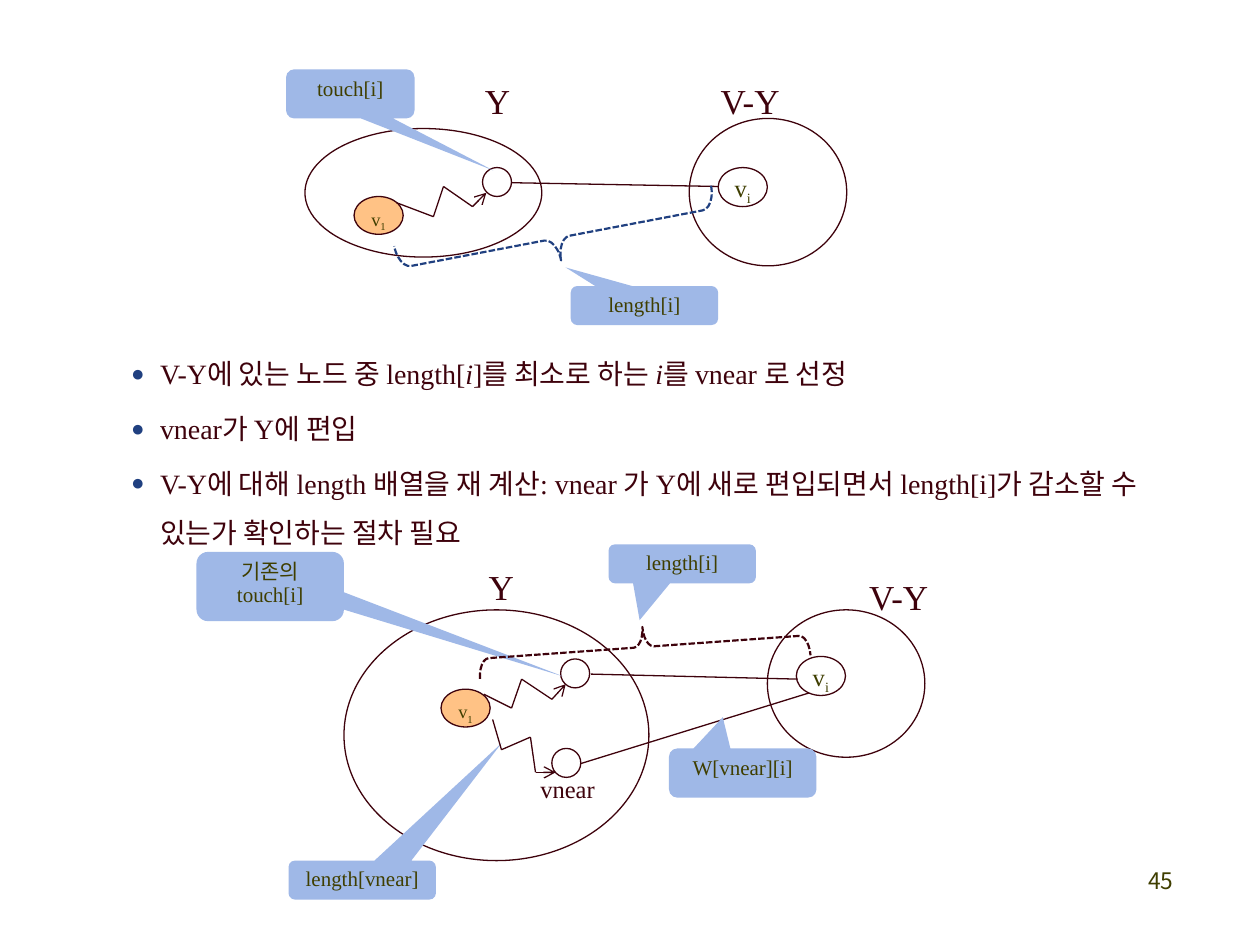
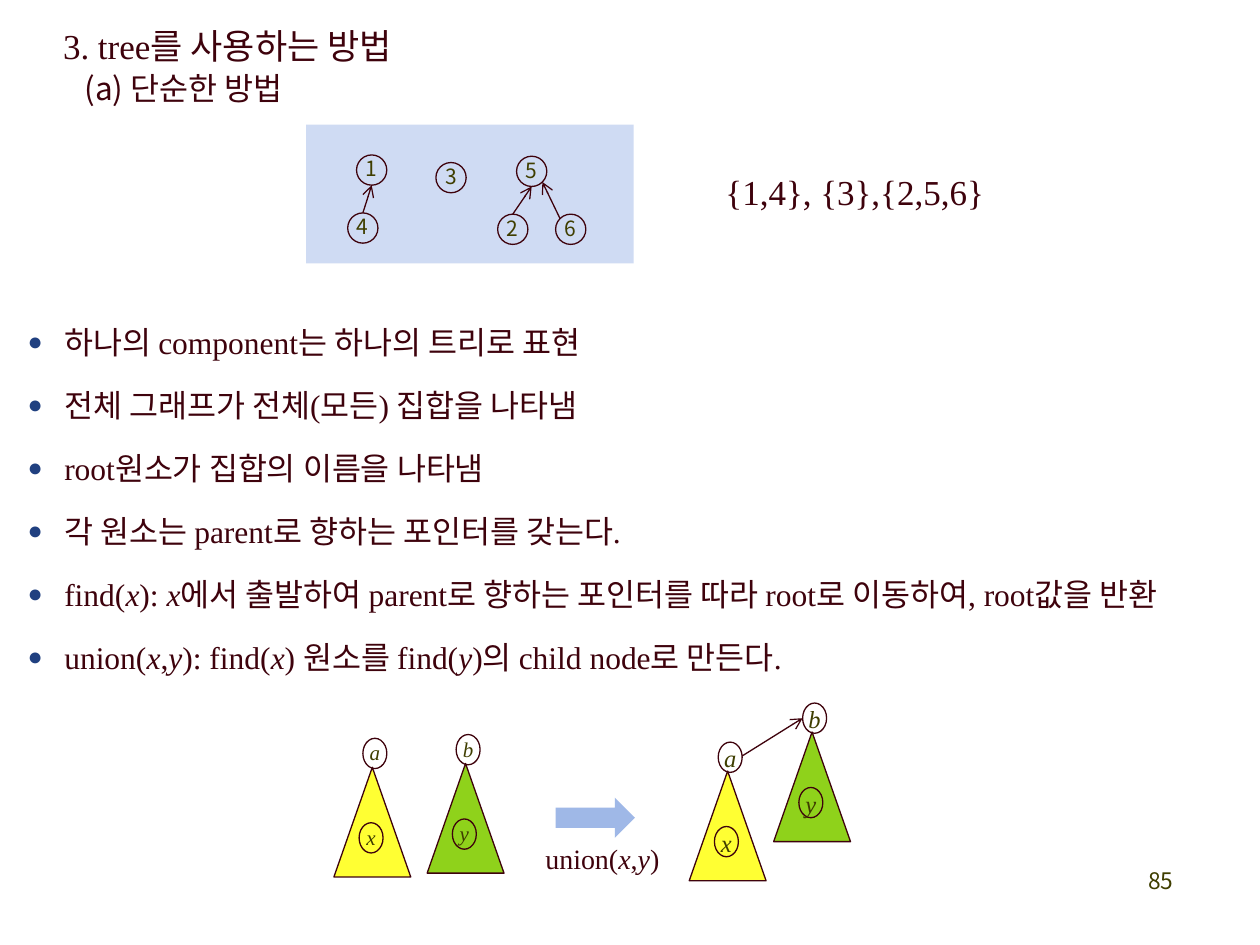
import math
from dataclasses import dataclass

import pptx
import pptx.util
import pptx.dml.color
import pptx.enum.dml
import pptx.enum.shapes
import pptx.enum.text
import pptx.oxml.ns
from lxml import etree

Inches, Pt = pptx.util.Inches, pptx.util.Pt
RGB = pptx.dml.color.RGBColor.from_string
SHAPE = pptx.enum.shapes.MSO_SHAPE
ALIGN = pptx.enum.text.PP_ALIGN
ANCHOR = pptx.enum.text.MSO_ANCHOR
qn = pptx.oxml.ns.qn


@dataclass(frozen=True)
class Theme:
    ink: str = "3E020C"
    label: str = "3F3E00"
    accent: str = "204080"
    callout: str = "9FB8E7"
    panel: str = "CFDBF3"
    start: str = "FFC285"
    yellow: str = "FFFF33"
    green: str = "8FD21B"
    serif: str = "Times New Roman"
    sans: str = "Noto Sans CJK KR"
    heading: float = 20
    subheading: float = 18
    body: float = 16
    node: float = 14
    page: float = 13
    small: float = 12
    tiny: float = 10.5
    thin: float = 0.75
    dashed: float = 1.25


T = Theme()

# Content: *x* is italic, _x_ is subscript; boxes are left, top, width, height
STEPS = [
    "V-Y에 있는 노드 중 length[*i*]를 최소로 하는 *i*를 vnear 로 선정",
    "vnear가 Y에 편입",
    "V-Y에 대해 length 배열을 재 계산: vnear 가 Y에 새로 편입되면서 "
    "length[i]가 감소할 수 있는가 확인하는 절차 필요",
]
DIAGRAMS = [
    dict(
        sets=[(2.42, 1.02, 1.88, 1.02), (5.47, 0.94, 1.25, 1.17)],
        names=[("Y", (3.75, 0.62, 0.4, 0.4), T.heading),
               ("V-Y", (5.62, 0.62, 0.68, 0.4), T.heading)],
        touched=[(3.83, 1.33)],
        start=(2.81, 1.56),
        target=(5.7, 1.33),
        edges=[((4.06, 1.45), (5.7, 1.48))],
        walks=[[(3.15, 1.61), (3.44, 1.72), (3.52, 1.48), (3.75, 1.64), (3.86, 1.53)]],
        brace=(SHAPE.LEFT_BRACE, (4.24, 0.61, 0.36, 2.56), 259.2, 0.285, T.accent),
        callouts=[("touch[i]", (2.27, 0.55, 1.02, 0.39), (1.113, 1.558)),
                  ("length[i]", (4.53, 2.27, 1.17, 0.31), (-0.534, -0.976))],
    ),
    dict(
        sets=[(2.73, 4.84, 2.42, 1.99), (6.09, 4.84, 1.25, 1.17)],
        names=[("Y", (3.78, 4.48, 0.4, 0.4), T.heading),
               ("V-Y", (6.8, 4.56, 0.68, 0.4), T.heading),
               ("vnear", (4.19, 6.12, 0.64, 0.31), T.node)],
        touched=[(4.45, 5.23), (4.38, 5.94)],
        start=(3.5, 5.47),
        target=(6.32, 5.21),
        edges=[((4.69, 5.35), (6.33, 5.39)), ((4.61, 6.06), (6.42, 5.5))],
        walks=[[(3.84, 5.51), (4.06, 5.62), (4.14, 5.39), (4.38, 5.55), (4.49, 5.43)],
               [(3.91, 5.71), (3.98, 5.95), (4.21, 5.85), (4.25, 6.13), (4.41, 6.13)]],
        brace=(SHAPE.RIGHT_BRACE, (4.95, 3.82, 0.32, 2.63), 265.9, 0.251, T.ink),
        callouts=[("length[i]", (4.83, 4.32, 1.17, 0.31), (-0.289, 1.443)),
                  ("W[vnear][i]", (5.31, 5.94, 1.17, 0.39), (-0.135, -1.136)),
                  ("기존의 touch[i]", (1.56, 4.38, 1.17, 0.55), (1.987, 1.297)),
                  ("length[vnear]", (2.29, 6.83, 1.17, 0.31), (0.947, -3.514))],
    ),
]

HEADING, SUBHEADING = "3. tree를 사용하는 방법", "(a) 단순한 방법"
TREE_RULES = [
    "하나의 component는 하나의 트리로 표현",
    "전체 그래프가 전체(모든) 집합을 나타냄",
    "root원소가 집합의 이름을 나타냄",
    "각 원소는 parent로 향하는 포인터를 갖는다.",
    "find(*x*): *x*에서 출발하여 parent로 향하는 포인터를 따라 root로 이동하여, root값을 반환",
    "union(*x*,*y*): find(*x*) 원소를 find(*y*)의 child node로 만든다.",
]
FOREST = {"1": (2.83, 1.23), "4": (2.76, 1.69), "3": (3.46, 1.29),
          "5": (4.1, 1.24), "2": (3.95, 1.7), "6": (4.41, 1.7)}
PARENT_LINKS = [("4", "1", 90), ("2", "5", 90), ("6", "5", 135)]  # leaving angle
TREES = [("a", "x", (2.88, 5.86), T.yellow, T.small),
         ("b", "y", (3.62, 5.83), T.green, T.small),
         ("a", "x", (5.7, 5.89), T.yellow, T.node),
         ("b", "y", (6.37, 5.58), T.green, T.node)]
NODE = 0.24
ROOT_SIZE = (0.19, 0.24)


# Text helpers
def write(paragraph, text, size, color=T.ink, face=T.serif, align=None,
          spacing=0.9, before=0.0, indent=0.0, bullet=False):
    paragraph.alignment = align
    paragraph.line_spacing = spacing
    paragraph.space_before = Pt(before)
    props = paragraph._p.get_or_add_pPr()
    props.set("marL", str(Inches(indent)))
    props.set("indent", str(-Inches(indent) if bullet else 0))
    if bullet:
        tint = etree.SubElement(props, qn("a:buClr"))
        etree.SubElement(tint, qn("a:srgbClr"), val=T.accent)
        etree.SubElement(props, qn("a:buSzPct"), val="80000")
        etree.SubElement(props, qn("a:buChar"), char="●")
    font = paragraph.font
    font.name, font.size = face, Pt(size)
    font.color.rgb = RGB(color)
    etree.SubElement(props.find(qn("a:defRPr")), qn("a:ea"), typeface=T.sans)
    for i, piece in enumerate(text.split("*")):
        for j, part in enumerate(piece.split("_")):
            if part:
                run = paragraph.add_run()
                run.text = part
                if i % 2:
                    run.font.italic = True
                if j % 2:
                    run.font._element.set("baseline", "-25000")


def prepare(frame, wrap=True, insets=(0.1, 0.05), anchor=ANCHOR.TOP):
    frame.word_wrap = wrap
    frame.auto_size = pptx.enum.text.MSO_AUTO_SIZE.NONE
    frame.vertical_anchor = anchor
    frame.margin_left = frame.margin_right = Inches(insets[0])
    frame.margin_top = frame.margin_bottom = Inches(insets[1])
    return frame


def place(part, box):
    part.left, part.top, part.width, part.height = map(Inches, box)


def label(slide, text, box, size, wrap=False, **style):
    frame = prepare(slide.shapes.add_textbox(*map(Inches, box)).text_frame, wrap)
    write(frame.paragraphs[0], text, size, **style)


def bullets(slide, items, box, size, spacing, indent):
    body = slide.placeholders[1]
    place(body, box)
    frame = prepare(body.text_frame)
    for i, item in enumerate(items):
        paragraph = frame.add_paragraph() if i else frame.paragraphs[0]
        write(paragraph, item, size, spacing=Pt(spacing), indent=indent,
              before=0.2 * size if i else 0, bullet=True)


# Drawing helpers
def draw(slide, kind, box, fill=None, line=T.ink, width=T.thin):
    shape = slide.shapes.add_shape(kind, *map(Inches, box))
    shape.shadow.inherit = False
    if fill:
        shape.fill.solid()
        shape.fill.fore_color.rgb = RGB(fill)
    else:
        shape.fill.background()
    if line:
        shape.line.color.rgb = RGB(line)
        shape.line.width = Pt(width)
    else:
        shape.line.fill.background()
    return shape


def node(slide, box, text="", size=T.small, fill=None, insets=(0, 0),
         face=T.serif, anchor=ANCHOR.TOP):
    oval = draw(slide, SHAPE.OVAL, box, fill)
    if text:
        frame = prepare(oval.text_frame, insets=insets, anchor=anchor)
        write(frame.paragraphs[0], text, size, T.label, face, ALIGN.CENTER)


def callout(slide, text, box, tip):
    bubble = draw(slide, SHAPE.ROUNDED_RECTANGULAR_CALLOUT, box, T.callout, None)
    for i, value in enumerate((*tip, 0.167)):
        bubble.adjustments[i] = value
    write(prepare(bubble.text_frame).paragraphs[0], text, T.small, T.label,
          align=ALIGN.CENTER)


def link(slide, begin, end, arrow=False):
    connector = slide.shapes.add_connector(
        pptx.enum.shapes.MSO_CONNECTOR.STRAIGHT, *map(Inches, (*begin, *end)))
    connector.line.color.rgb = RGB(T.ink)
    connector.line.width = Pt(T.thin)
    if arrow:
        etree.SubElement(connector.line._get_or_add_ln(), qn("a:tailEnd"), type="arrow")
    etree.SubElement(connector._element.spPr, qn("a:effectLst"))


def rim(corner, angle):
    """Point on the rim of a round node, counter-clockwise from the right."""
    radius, turn = NODE / 2, math.radians(angle)
    return (corner[0] + radius + radius * math.cos(turn),
            corner[1] + radius - radius * math.sin(turn))


def new_slide(deck, page):
    slide = deck.slides.add_slide(deck.slide_layouts[1])
    label(slide, page, (7.33, 6.83, 2.08, 0.5), T.page, wrap=True, color=T.label,
          face=T.sans, align=ALIGN.RIGHT, spacing=1.0)
    return slide


def draw_diagram(slide, plan):
    for box in plan["sets"]:
        draw(slide, SHAPE.OVAL, box)
    for text, box, size in plan["names"]:
        label(slide, text, box, size)
    for corner in plan["touched"]:
        node(slide, (*corner, 0.23, 0.23))
    for begin, end in plan["edges"]:
        link(slide, begin, end)
    for bubble in plan["callouts"]:
        callout(slide, *bubble)
    node(slide, (*plan["start"], 0.39, 0.3), "v_1_", T.tiny, T.start, (0, 0.05))
    node(slide, (*plan["target"], 0.39, 0.31), "v_i_", T.node)
    for walk in plan["walks"]:
        for begin, end in zip(walk, walk[1:]):
            link(slide, begin, end, arrow=end == walk[-1])
    kind, box, turn, curl, color = plan["brace"]
    brace = draw(slide, kind, box, line=color, width=T.dashed)
    brace.rotation = turn
    brace.adjustments[0], brace.adjustments[1] = curl, 0.5
    brace.line.dash_style = pptx.enum.dml.MSO_LINE.SQUARE_DOT


def shortest_path_slide(deck):
    slide = new_slide(deck, "45")
    title = slide.shapes.title.element
    title.getparent().remove(title)
    bullets(slide, STEPS, (0.94, 2.66, 8.75, 1.78), T.body, 28, 0.23)
    for plan in DIAGRAMS:
        draw_diagram(slide, plan)


def tree_slide(deck):
    slide = new_slide(deck, "85")
    title = slide.shapes.title
    place(title, (0.4, 0.17, 3.01, 0.74))
    frame = prepare(title.text_frame, wrap=False)
    write(frame.paragraphs[0], HEADING, T.heading, align=ALIGN.LEFT, spacing=Pt(22))
    write(frame.add_paragraph(), SUBHEADING, T.subheading, face=T.sans,
          align=ALIGN.LEFT, spacing=Pt(19.8), before=3.6, indent=0.17)
    bullets(slide, TREE_RULES, (0.12, 2.36, 9.76, 3.13), T.subheading, 32.4, 0.29)

    # Forest of sets
    draw(slide, SHAPE.RECTANGLE, (2.43, 0.99, 2.6, 1.1), T.panel, None)
    label(slide, "{1,4}, {3},{2,5,6}", (5.66, 1.34, 2.76, 0.4), T.heading, wrap=True)
    for name, corner in FOREST.items():
        node(slide, (*corner, NODE, NODE), name, face=T.sans, anchor=ANCHOR.MIDDLE)
    for child, parent, angle in PARENT_LINKS:
        link(slide, rim(FOREST[child], angle), rim(FOREST[parent], angle + 180), True)

    # Trees before and after the union
    for root, member, (x, y), fill, size in TREES:
        node(slide, (x, y, *ROOT_SIZE), f"*{root}*", size)
        draw(slide, SHAPE.ISOSCELES_TRIANGLE, (x - 0.23, y + 0.23, 0.61, 0.87), fill)
        node(slide, (x - 0.03, y + 0.67, *ROOT_SIZE), f"*{member}*", size)
    draw(slide, SHAPE.RIGHT_ARROW, (4.41, 6.33, 0.63, 0.32), T.callout, None)
    label(slide, "union(*x*,*y*)", (4.23, 6.66, 1.12, 0.34), T.body)
    link(slide, (5.89, 6), (6.37, 5.7), True)


def main():
    deck = pptx.Presentation()
    deck.slide_width, deck.slide_height = Inches(10), Inches(7.5)
    shortest_path_slide(deck)
    tree_slide(deck)
    deck.save("out.pptx")


if __name__ == "__main__":
    main()
